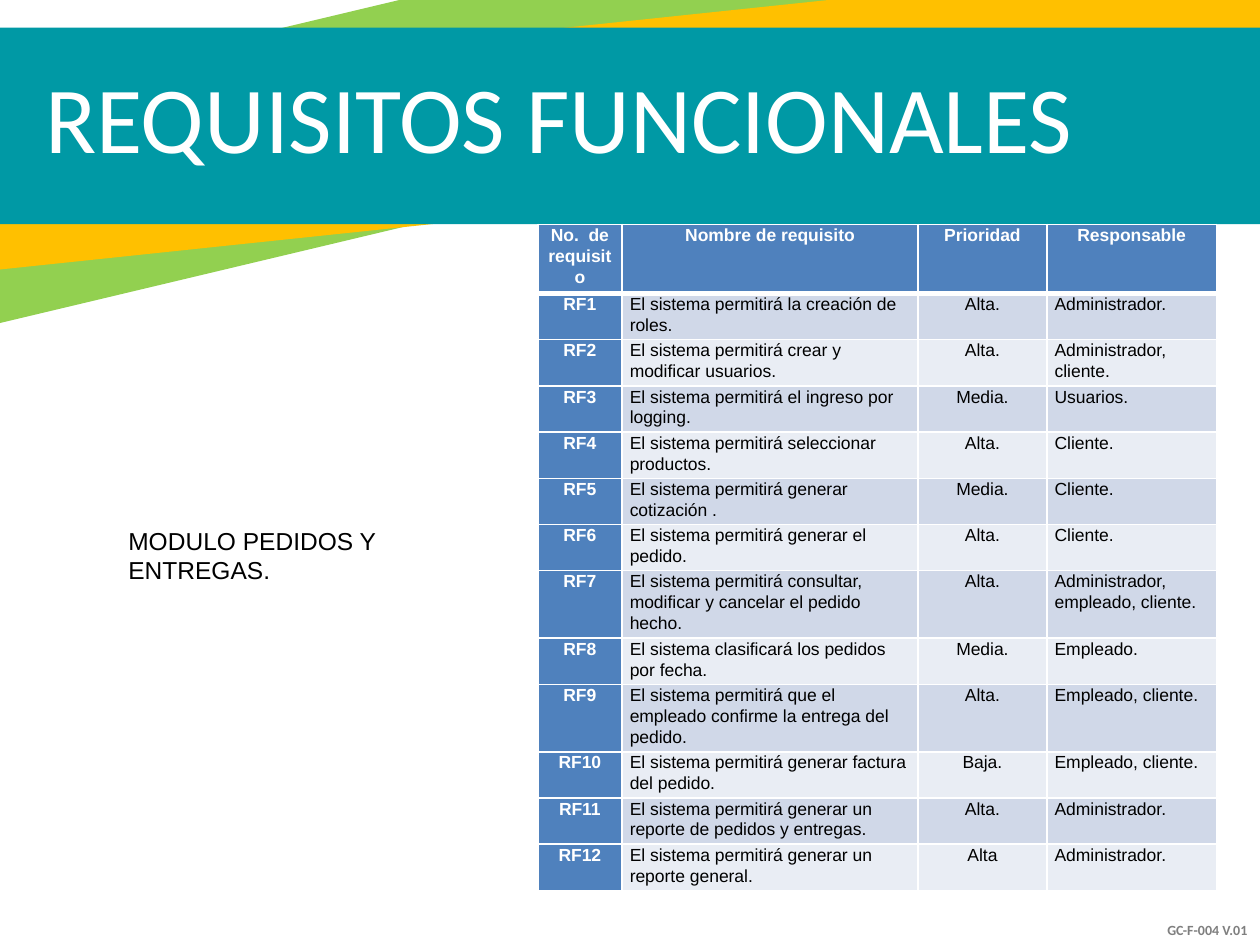
import pptx
import pptx.dml.color
import pptx.enum.shapes
import pptx.enum.text
import pptx.oxml.ns
import pptx.util
from lxml import etree

Pt = pptx.util.Pt
Align = pptx.enum.text.PP_ALIGN
Anchor = pptx.enum.text.MSO_ANCHOR
qn = pptx.oxml.ns.qn

WHITE, BLACK, GREEN, GOLD, TEAL = "FFFFFF", "000000", "92D050", "FFC000", "0099A5"
BLUE, BANDS = "4F81BD", ("D0D8E8", "E9EDF4")

HEAD = ("No.  de requisito", "Nombre de requisito", "Prioridad", "Responsable")
NEEDS = (
    ("El sistema permitirá la creación de roles.", "Alta.", "Administrador."),
    ("El sistema permitirá crear y modificar usuarios.", "Alta.", "Administrador, cliente."),
    ("El sistema permitirá el ingreso por logging.", "Media.", "Usuarios."),
    ("El sistema permitirá seleccionar productos.", "Alta.", "Cliente."),
    ("El sistema permitirá generar cotización .", "Media.", "Cliente."),
    ("El sistema permitirá generar el pedido.", "Alta.", "Cliente."),
    ("El sistema permitirá consultar, modificar y cancelar el pedido hecho.", "Alta.",
     "Administrador, empleado, cliente."),
    ("El sistema clasificará los pedidos por fecha.", "Media.", "Empleado."),
    ("El sistema permitirá que el empleado confirme la entrega del pedido.", "Alta.",
     "Empleado, cliente."),
    ("El sistema permitirá generar factura del pedido.", "Baja.", "Empleado, cliente."),
    ("El sistema permitirá generar un reporte de pedidos y entregas.", "Alta.",
     "Administrador."),
    ("El sistema permitirá generar un reporte general.", "Alta", "Administrador."),
)


def tint(code):
    return pptx.dml.color.RGBColor.from_string(code)


def apply(item, values):
    for key, value in values.items():
        setattr(item, key, value)


class Deck:
    pads = {"margin_left": Pt(7.2), "margin_right": Pt(7.2),
            "margin_top": Pt(3.6), "margin_bottom": Pt(3.6)}
    tight = {"margin_left": Pt(4.5), "margin_right": Pt(4.5),
             "margin_top": 0, "margin_bottom": 0, "vertical_anchor": Anchor.TOP}

    def __init__(self, wide, high):
        self.show = pptx.Presentation()
        apply(self.show, {"slide_width": Pt(wide), "slide_height": Pt(high)})
        self.slide = self.show.slides.add_slide(self.show.slide_layouts[6])

    def words(self, frame, text, color, font, align=Align.LEFT, space=None):
        line = frame.paragraphs[0]
        apply(line, {"alignment": align, "line_spacing": space})
        run = line.add_run()
        run.text = text
        apply(run.font, font)
        run.font.color.rgb = tint(color)

    def band(self, box, color, turn=0):
        kind = pptx.enum.shapes.MSO_SHAPE.RECTANGLE
        shape = self.slide.shapes.add_shape(kind, *map(Pt, box))
        shape.rotation = turn
        shape.shadow.inherit = False
        shape.fill.solid()
        shape.fill.fore_color.rgb = tint(color)
        shape.line.fill.background()

    def label(self, box, text, color, font, anchor=Anchor.TOP, align=Align.LEFT):
        frame = self.slide.shapes.add_textbox(*map(Pt, box)).text_frame
        apply(frame, {**self.pads, "word_wrap": True, "vertical_anchor": anchor})
        self.words(frame, text, color, font, align)

    def edge(self, cell, base):
        props = cell._tc.get_or_add_tcPr()
        for side, width in {"L": 1, "R": 1, "T": 1, "B": base}.items():
            line = etree.SubElement(props, qn("a:ln" + side), w=str(Pt(width)))
            fill = etree.SubElement(line, qn("a:solidFill"))
            etree.SubElement(fill, qn("a:srgbClr"), val=WHITE)

    def cell(self, cell, text, row, col):
        bold = row == 0 or col == 0
        self.edge(cell, 1 if row else 3)
        cell.fill.solid()
        cell.fill.fore_color.rgb = tint(BLUE if bold else BANDS[(row - 1) % 2])
        apply(cell, self.tight)
        align = Align.CENTER if row == 0 or col in (0, 2) else Align.LEFT
        font = {"name": "Arial", "size": Pt(10), "bold": bold}
        self.words(cell.text_frame, text, WHITE if bold else BLACK, font, align, 1.07)

    def table(self, left, top, cols, highs, rows):
        grid = self.slide.shapes.add_table(
            len(rows), len(cols), Pt(left), Pt(top), Pt(sum(cols)), Pt(sum(highs))).table
        apply(grid, {"first_row": False, "horz_banding": False})
        for col, wide in zip(grid.columns, cols):
            col.width = Pt(wide)
        for row, high in zip(grid.rows, highs):
            row.height = Pt(high)
        for r, row in enumerate(rows):
            for c, text in enumerate(row):
                self.cell(grid.cell(r, c), text, r, c)


def main():
    deck = Deck(720, 540)
    deck.label((602.64, 498.96, 117.36, 41.04), "GC-F-004 V.01", "7F7F7F",
               {"name": "Calibri", "size": Pt(8), "bold": True}, Anchor.BOTTOM, Align.RIGHT)
    deck.band((-81.36, -24.48, 839.52, 126.72), GREEN, 346.6)
    deck.band((-79.2, 14.4, 837.36, 103.68), GOLD, 354)
    deck.band((-76.32, 15.84, 837.36, 112.32), TEAL)
    deck.label((18.72, 30.96, 714.24, 69.84), "REQUISITOS FUNCIONALES", WHITE,
               {"name": "Calibri", "size": Pt(54)}, Anchor.MIDDLE)
    deck.label((66.24, 296.8, 240, 24), "MODULO PEDIDOS Y ENTREGAS.", BLACK,
               {"name": "Arial", "size": Pt(14)})
    rows = [HEAD] + [(f"RF{n}", *need) for n, need in enumerate(NEEDS, 1)]
    deck.table(307.3, 128.16, (48.1, 169.2, 73.6, 97), [39.6] + [26.4] * len(NEEDS), rows)
    deck.show.save("out.pptx")


if __name__ == "__main__":
    main()
